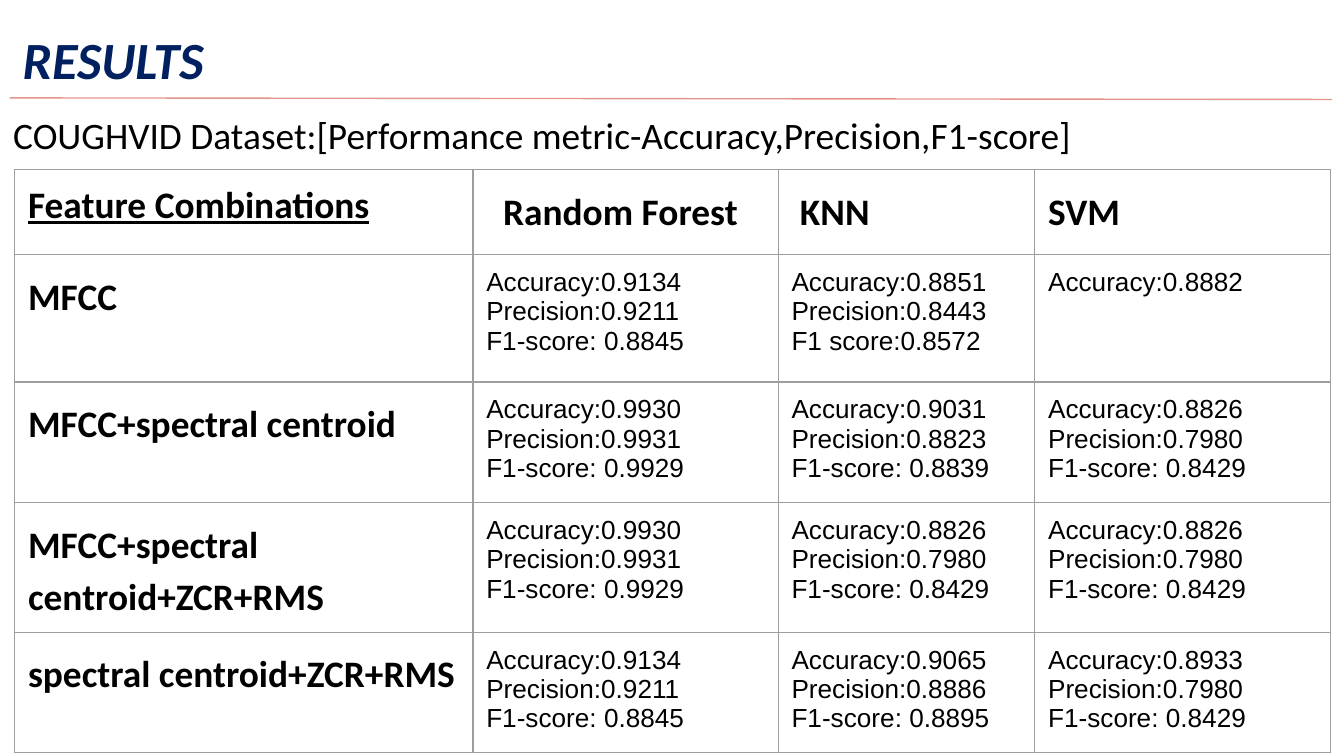
import lxml.etree
import pptx
import pptx.dml.color
import pptx.enum.shapes
import pptx.enum.text
import pptx.oxml.ns
import pptx.util

Cm = pptx.util.Cm
Pt = pptx.util.Pt
COLORS = {"title": "002060", "text": "000000", "rule": "E4948A", "grid": "9E9E9E"}


def rgb(name):
    return pptx.dml.color.RGBColor.from_string(COLORS[name])


def write(frame, text, size=20, font="Calibri", color="text", bold=False,
          italic=False, underline=False, spacing=None):
    for index, line in enumerate(text.split("\n")):
        paragraph = frame.paragraphs[0] if index == 0 else frame.add_paragraph()
        if spacing:
            paragraph.line_spacing = spacing
        run = paragraph.add_run()
        run.text = line
        run.font.size = Pt(size)
        run.font.name = font
        run.font.color.rgb = rgb(color)
        run.font.bold = bold
        run.font.italic = italic
        run.font.underline = underline


def scores(accuracy, precision, f1, f1_label="F1-score: "):
    return f"Accuracy:{accuracy}\nPrecision:{precision}\n{f1_label}{f1}"


class ResultsSlide:
    heading = {"bold": True, "spacing": 1.15}
    first_heading = {"bold": True, "underline": True}
    metrics = {"size": 14, "font": "Arial"}
    padding = Cm(0.25)
    line_width = Pt(0.75)

    def __init__(self, presentation):
        self.slide = presentation.slides.add_slide(presentation.slide_layouts[6])

    def rule(self, x1, y1, x2, y2):
        rule = self.slide.shapes.add_connector(
            pptx.enum.shapes.MSO_CONNECTOR.STRAIGHT, Cm(x1), Cm(y1), Cm(x2), Cm(y2))
        rule.line.color.rgb = rgb("rule")
        rule.line.width = self.line_width
        lxml.etree.SubElement(rule._element.spPr, pptx.oxml.ns.qn("a:effectLst"))

    def text(self, text, left, top, width, height, inset=0.25, middle=False, **style):
        frame = self.slide.shapes.add_textbox(
            Cm(left), Cm(top), Cm(width), Cm(height)).text_frame
        frame.word_wrap = True
        frame.margin_left = frame.margin_right = self.padding
        frame.margin_top = frame.margin_bottom = Cm(inset)
        if middle:
            frame.vertical_anchor = pptx.enum.text.MSO_ANCHOR.MIDDLE
        write(frame, text, **style)

    def border(self, cell):
        qn = pptx.oxml.ns.qn
        properties = cell._tc.get_or_add_tcPr()
        for index, side in enumerate(("a:lnL", "a:lnR", "a:lnT", "a:lnB")):
            edge = lxml.etree.Element(qn(side), w=str(self.line_width))
            fill = lxml.etree.SubElement(edge, qn("a:solidFill"))
            lxml.etree.SubElement(fill, qn("a:srgbClr"), val=COLORS["grid"])
            properties.insert(index, edge)

    def table(self, rows, left, top, widths, heights, header_indents):
        table = self.slide.shapes.add_table(
            len(rows), len(widths), Cm(left), Cm(top),
            Cm(sum(widths)), Cm(sum(heights))).table
        table.first_row = table.horz_banding = False
        for column, width in zip(table.columns, widths):
            column.width = Cm(width)
        for row, height in zip(table.rows, heights):
            row.height = Cm(height)
        for r, texts in enumerate(rows):
            for c, text in enumerate(texts):
                cell = table.cell(r, c)
                cell.margin_left = self.padding + (Cm(header_indents[c]) if r == 0 else 0)
                cell.margin_right = cell.margin_top = cell.margin_bottom = self.padding
                cell.fill.background()
                self.border(cell)
                if r == c == 0:
                    style = self.first_heading
                elif r == 0 or c == 0:
                    style = self.heading
                else:
                    style = self.metrics
                write(cell.text_frame, text, **style)


def main():
    presentation = pptx.Presentation()
    presentation.slide_width = Cm(25.4)
    presentation.slide_height = Cm(14.29)
    results = ResultsSlide(presentation)

    weak_forest = scores("0.9134", "0.9211", "0.8845")
    strong_forest = scores("0.9930", "0.9931", "0.9929")
    common_svm = scores("0.8826", "0.7980", "0.8429")
    rows = [
        ["Feature Combinations", "Random Forest", "KNN", "SVM"],
        ["MFCC", weak_forest,
         scores("0.8851", "0.8443", "0.8572", "F1 score:"), "Accuracy:0.8882"],
        ["MFCC+spectral centroid", strong_forest,
         scores("0.9031", "0.8823", "0.8839"), common_svm],
        ["MFCC+spectral centroid+ZCR+RMS", strong_forest, common_svm, common_svm],
        ["spectral centroid+ZCR+RMS", weak_forest,
         scores("0.9065", "0.8886", "0.8895"), scores("0.8933", "0.7980", "0.8429")],
    ]

    results.rule(0.18, 1.85, 25.17, 1.88)
    results.text("RESULTS", 0.18, 0.38, 25, 1.24, inset=0.13,
                 size=28, color="title", bold=True, italic=True)
    results.table(rows, 0.28, 3.21, widths=[8.66, 5.77, 4.85, 5.59],
                  heights=[1.6, 2.41, 2.01, 2.39, 2.08],
                  header_indents=[0, 0.32, 0.16, 0])
    results.text("COUGHVID Dataset:[Performance metric-Accuracy,Precision,F1-score]",
                 0, 1.85, 25, 1.37, middle=True)
    presentation.save("out.pptx")


if __name__ == "__main__":
    main()
